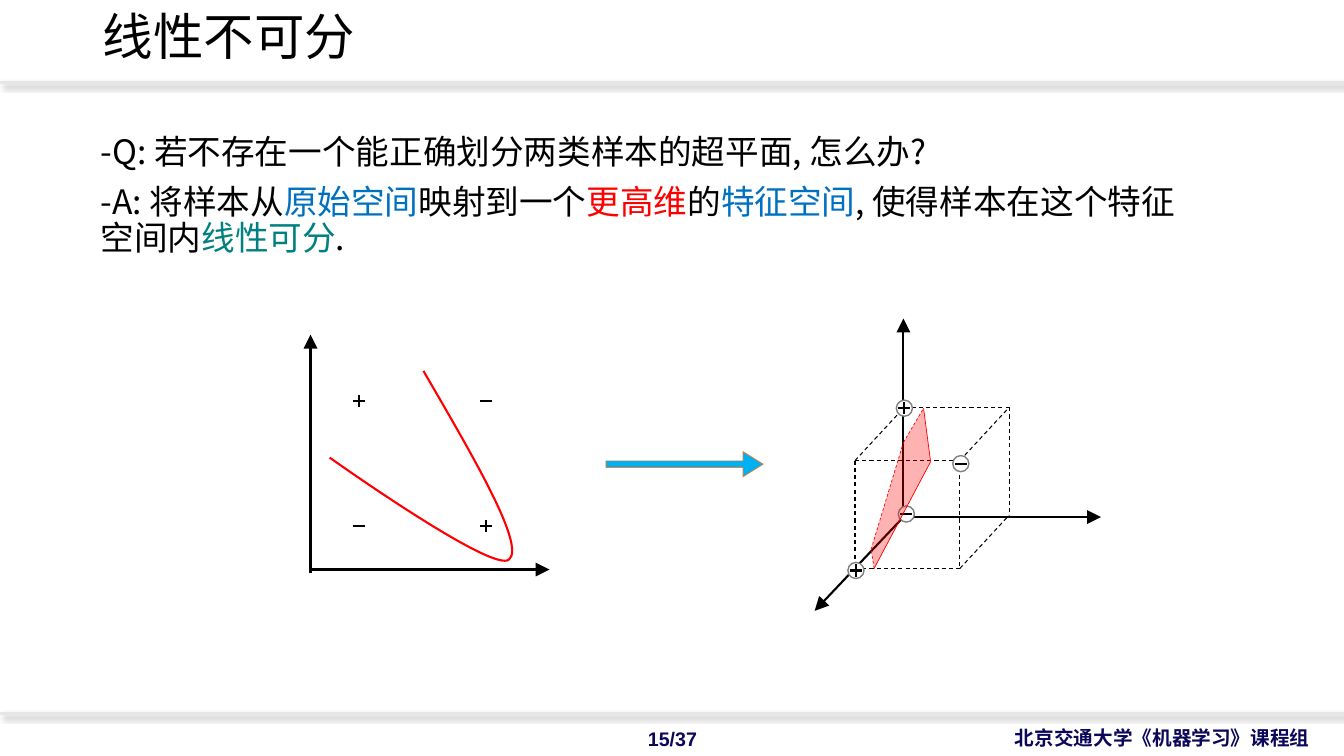
"""Build the slide on mapping samples that are not linearly separable."""
from dataclasses import dataclass
from itertools import combinations, pairwise, product
from lxml.etree import SubElement
from pptx import Presentation
from pptx.dml.color import RGBColor
from pptx.enum.dml import MSO_LINE
from pptx.enum.shapes import MSO_CONNECTOR, MSO_SHAPE
from pptx.enum.text import MSO_ANCHOR, MSO_AUTO_SIZE, PP_ALIGN
from pptx.oxml.ns import qn
from pptx.util import Inches, Pt


@dataclass(frozen=True)
class Theme:
    ink: str = "000000"
    navy: str = "0B0759"
    blue: str = "0070C0"
    red: str = "FF0000"
    teal: str = "008080"
    sky: str = "00B0F0"
    rust: str = "ED7D31"
    gray: str = "808080"
    rule: str = "E7E6E6"
    white: str = "FFFFFF"
    head: int = 36
    body: int = 24
    foot: int = 14
    wide: float = 2
    bold: float = 1.5
    ring: float = 1
    thin: float = 0.75
    hair: float = 0.5
    latin: str = "Arial"
    hans: str = "Noto Sans CJK SC"


T = Theme()
COLS, ROWS = 13.33, 7.5

TITLE = "线性不可分"
TITLE_BOX = (0.92, -0.34, 11.5, 1.45)
BODY = [
    [("-Q: 若不存在一个能正确划分两类样本的超平面, 怎么办?", T.ink)],
    [("-A: 将样本从", T.ink), ("原始空间", T.blue), ("映射到一个", T.ink),
     ("更高维", T.red), ("的", T.ink), ("特征空间", T.blue),
     (", 使得样本在这个特征空间内", T.ink), ("线性可分", T.teal), (".", T.ink)],
]
BODY_BOX = (0.9, 1.29, 11.02, 5.21)
FEET = [
    ("北京交通大学《机器学习》课程组", (8.88, 7.15, 4.21, 0.34), PP_ALIGN.RIGHT),
    ("15/37", (6.05, 7.16, 1.24, 0.34), PP_ALIGN.CENTER),
]
RULES = (0.82, 7.08)

PLOT_AXES = [((3.08, 5.68), (3.08, 3.32)), ((3.08, 5.65), (5.45, 5.65))]
SIGN_COLS, SIGN_ROWS = (3.56, 4.82), (3.98, 5.22)
CURVE = [(4.2, 3.68), (4.7, 4.54), (5.21, 5.41), (5.05, 5.55),
         (4.9, 5.7), (3.27, 4.54), (3.27, 4.54)]
ARROW = (6.01, 4.48, 1.56, 0.25)

ROOT = (8.96, 5.13)
TIPS = [(8.96, 3.16), (10.92, 5.13), (8.08, 6.06)]
CUBE_LEFT, CUBE_TOP, CUBE_WIDE, CUBE_HIGH = 8.48, 4.57, 1.04, 1.07
DEPTH_X, DEPTH_Y = 0.49, -0.53
HIDDEN = (1, 0, 1)
BALLS = [("+", 8.49, 5.66), ("+", 8.97, 4.05), ("-", 9.53, 4.6), ("-", 8.99, 5.1)]
PLANE = [(9.16, 4.05), (9.23, 4.58), (8.67, 5.64), (8.64, 5.45), (8.96, 4.39)]
SOLID_SIDES = 2
ARM, RADIUS = 0.06, 0.08


def grid(*cells):
    return [Inches(cell) for cell in cells]


def tint(hue):
    return RGBColor.from_string(hue)


def fade(fill, share):
    SubElement(fill, qn("a:alpha"), val=str(share * 1000))


def write(par, text, size, hue, face=T.hans, bold=False):
    run = par.add_run()
    run.text = text
    font = run.font
    font.size, font.bold, font.name = Pt(size), bold, face
    font.color.rgb = tint(hue)
    SubElement(font._element, qn("a:ea"), typeface=T.hans)


def frame(shape, anchor):
    text = shape.text_frame
    text.word_wrap, text.auto_size = True, MSO_AUTO_SIZE.NONE
    text.vertical_anchor = anchor
    return text


def stroke(host, start, end, hue=T.ink, width=T.bold, dash=False):
    line = host.add_connector(MSO_CONNECTOR.STRAIGHT, *grid(*start, *end))
    line.line.color.rgb, line.line.width = tint(hue), Pt(width)
    if dash:
        line.line.dash_style = MSO_LINE.DASH
    SubElement(line._element.spPr, qn("a:effectLst"))
    return line._element.spPr


def axis(host, start, end):
    pen = stroke(host, start, end).find(qn("a:ln"))
    SubElement(pen, qn("a:tailEnd"), type="triangle", w="lg", len="lg")


def paint(shape, fill=None, edge=None, width=T.hair):
    shape.shadow.inherit = False
    if fill:
        shape.fill.solid()
        shape.fill.fore_color.rgb = tint(fill)
    else:
        shape.fill.background()
    if edge:
        shape.line.color.rgb, shape.line.width = tint(edge), Pt(width)
    else:
        shape.line.fill.background()


def sign(host, kind, x, y):
    stroke(host, (x - ARM, y), (x + ARM, y))
    if kind == "+":
        stroke(host, (x, y - ARM), (x, y + ARM))


def outline(host, points, close):
    first, *rest = [grid(*point) for point in points]
    pen = host.build_freeform(*first)
    pen.add_line_segments(rest, close=close)
    return pen.convert_to_shape()


def bend(shape):
    path = next(shape._element.iter(qn("a:path")))
    legs = path.findall(qn("a:lnTo"))
    for i in range(0, len(legs), 3):
        arc = SubElement(path, qn("a:cubicBezTo"))
        for leg in legs[i:i + 3]:
            arc.append(leg[0])
            path.remove(leg)


def draw_rules(host):
    for y in RULES:
        glow = stroke(host, (0, y), (COLS, y), T.rule, T.wide).find(qn("a:effectLst"))
        cast = SubElement(glow, qn("a:outerShdw"), blurRad=str(Pt(4)),
                          dist=str(Pt(3)), dir=str(45 * 60000))
        fade(SubElement(cast, qn("a:srgbClr"), val=T.ink), 40)


def draw_words(host):
    title = host.title
    title.left, title.top, title.width, title.height = grid(*TITLE_BOX)
    par = frame(title, MSO_ANCHOR.MIDDLE).paragraphs[0]
    par.alignment, par.line_spacing = PP_ALIGN.LEFT, 0.9
    write(par, TITLE, T.head, T.ink)
    text = frame(host.add_textbox(*grid(*BODY_BOX)), MSO_ANCHOR.TOP)
    for i, runs in enumerate(BODY):
        par = text.add_paragraph() if i else text.paragraphs[0]
        par.line_spacing, par.space_before = 0.9, Pt(10 if i else 0)
        for part, hue in runs:
            write(par, part, T.body, hue)
    for part, box, side in FEET:
        par = frame(host.add_textbox(*grid(*box)), MSO_ANCHOR.MIDDLE).paragraphs[0]
        par.alignment = side
        write(par, part, T.foot, T.navy, T.latin, True)


def draw_plot(host):
    for start, end in PLOT_AXES:
        axis(host, start, end)
    for (i, x), (j, y) in product(enumerate(SIGN_COLS), enumerate(SIGN_ROWS)):
        sign(host, "+" if i == j else "-", x, y)
    curve = outline(host, CURVE, False)
    bend(curve)
    paint(curve, edge=T.red, width=T.bold)


def corner(deep, right, low):
    return (CUBE_LEFT + right * CUBE_WIDE + deep * DEPTH_X,
            CUBE_TOP + low * CUBE_HIGH + deep * DEPTH_Y)


def draw_cube(host):
    for tip in TIPS:
        axis(host, ROOT, tip)
    seen = [spot for spot in product((0, 1), repeat=3) if spot != HIDDEN]
    for a, b in combinations(seen, 2):
        if sum(p != q for p, q in zip(a, b)) == 1:
            stroke(host, corner(*a), corner(*b), width=T.thin, dash=True)
    for kind, x, y in BALLS:
        box = grid(x - RADIUS, y - RADIUS, 2 * RADIUS, 2 * RADIUS)
        paint(host.add_shape(MSO_SHAPE.OVAL, *box), T.white, T.gray, T.ring)
        sign(host, kind, x, y)


def draw_plane(host):
    for i, (start, end) in enumerate(pairwise(PLANE + PLANE[:1])):
        stroke(host, start, end, T.red, T.hair, dash=i >= SOLID_SIDES)
    plane = outline(host, PLANE, True)
    paint(plane, T.red)
    fade(next(plane._element.spPr.iter(qn("a:srgbClr"))), 30)


def draw_arrow(host):
    arrow = host.add_shape(MSO_SHAPE.RIGHT_ARROW, *grid(*ARROW))
    arrow.adjustments[0], arrow.adjustments[1] = 0.26, 0.8
    paint(arrow, T.sky, T.rust)


def main():
    deck = Presentation()
    deck.slide_width, deck.slide_height = grid(COLS, ROWS)
    host = deck.slides.add_slide(deck.slide_layouts[5]).shapes
    for draw in (draw_rules, draw_words, draw_plot, draw_cube, draw_plane, draw_arrow):
        draw(host)
    deck.save("out.pptx")


if __name__ == "__main__":
    main()
